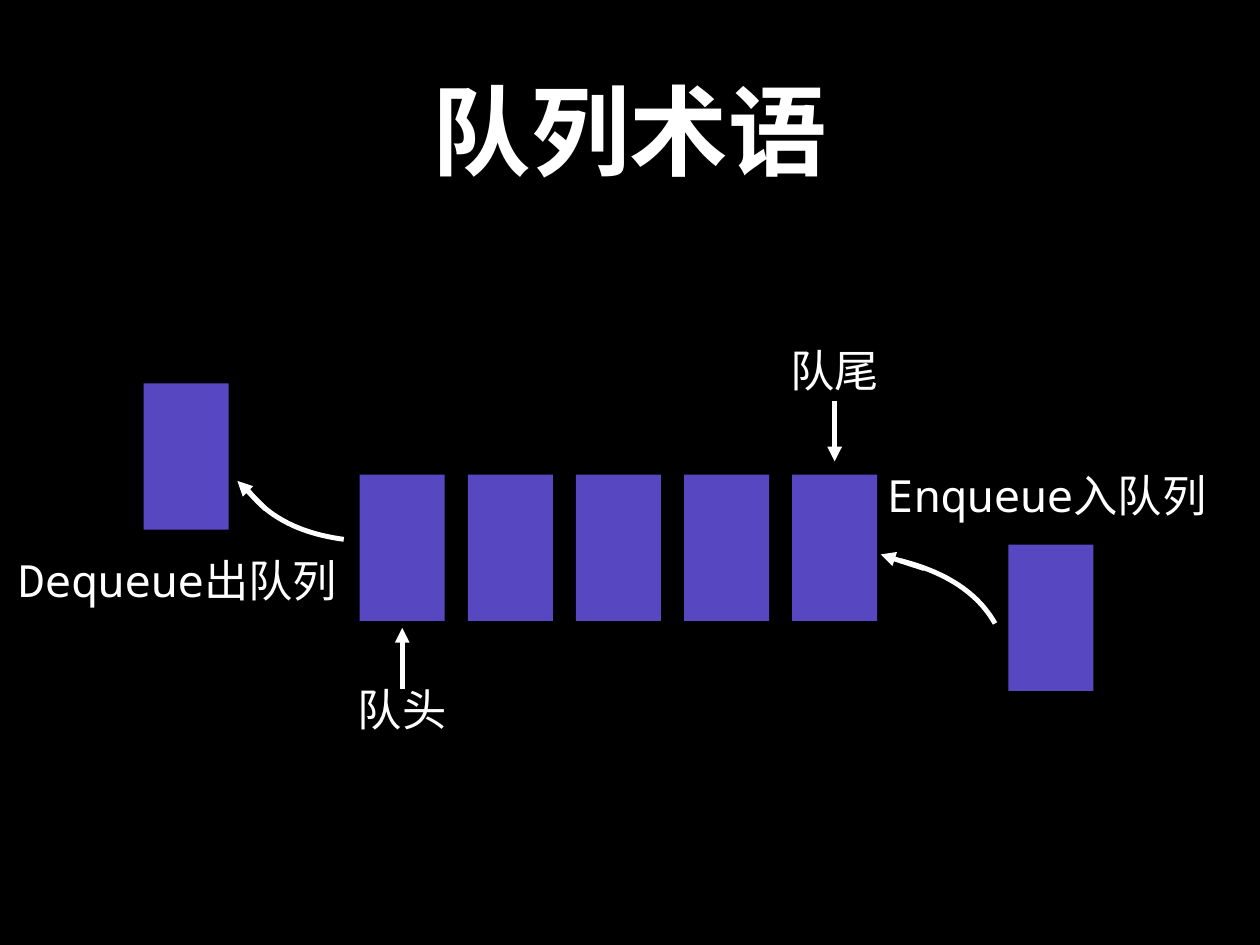
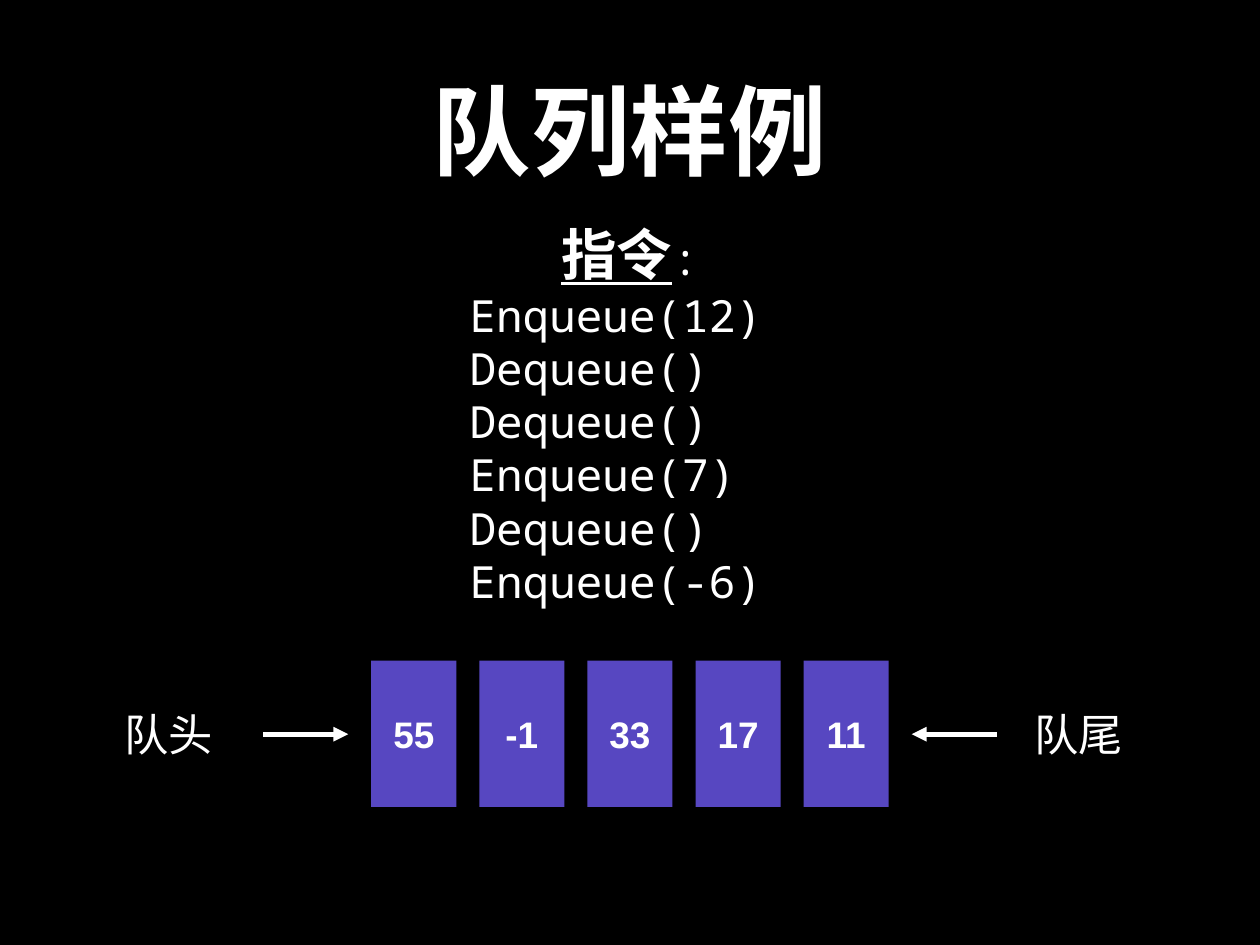
"""Two slides on queue terms and a queue example."""
from lxml.etree import SubElement
from pptx import Presentation
from pptx.dml.color import RGBColor
from pptx.enum.shapes import MSO_CONNECTOR, MSO_SHAPE
from pptx.enum.text import MSO_ANCHOR, MSO_AUTO_SIZE, PP_ALIGN
from pptx.oxml.ns import qn
from pptx.util import Inches, Pt

COLORS = {name: RGBColor.from_string(value) for name, value in {
    "background": "000000", "cell": "5747C1", "text": "FFFFFF"}.items()}
FONT = "Noto Sans Mono"
CELL_WIDTH, CELL_HEIGHT, CELL_STEP = 0.96, 1.65, 1.22
CURVE_STEPS = 24


def set_frame(frame, wrap, auto_size):
    frame.word_wrap = wrap
    frame.auto_size = auto_size
    frame.vertical_anchor = MSO_ANCHOR.MIDDLE
    frame.margin_left = frame.margin_right = Inches(0.06)
    frame.margin_top = frame.margin_bottom = Inches(0.06)


def set_paragraph(paragraph, size, bold=False, align=PP_ALIGN.CENTER, name=FONT):
    paragraph.alignment = align
    font = paragraph.font
    font.name, font.size, font.bold = name, Pt(size), bold
    font.color.rgb = COLORS["text"]


deck = Presentation()
deck.slide_width, deck.slide_height = Inches(14.22), Inches(10.67)
background = deck.slide_master.background.fill
background.solid()
background.fore_color.rgb = COLORS["background"]

pages = []
for heading in ("队列术语", "队列样例"):
    page = deck.slides.add_slide(deck.slide_layouts[5])
    title = page.shapes.title
    title.left, title.top = Inches(1.04), Inches(0.28)
    title.width, title.height = Inches(12.14), Inches(2.36)
    title.text_frame.text = heading
    set_frame(title.text_frame, True, MSO_AUTO_SIZE.NONE)
    set_paragraph(title.text_frame.paragraphs[0], 80, True)
    pages.append(page)
terms, example = pages

cells = [(terms, 4.06 + CELL_STEP * index, 5.36, "") for index in range(5)]
cells += [(terms, 1.62, 4.33, ""), (terms, 11.38, 6.15, "")]
cells += [(example, 4.19 + CELL_STEP * index, 7.46, value)
          for index, value in enumerate(("55", "-1", "33", "17", "11"))]
for page, left, top, value in cells:
    cell = page.shapes.add_shape(MSO_SHAPE.RECTANGLE, Inches(left), Inches(top),
                                 Inches(CELL_WIDTH), Inches(CELL_HEIGHT))
    cell.shadow.inherit = False
    cell.fill.solid()
    cell.fill.fore_color.rgb = COLORS["cell"]
    cell.line.fill.background()
    if value:
        cell.text_frame.text = value
        set_frame(cell.text_frame, True, MSO_AUTO_SIZE.NONE)
        set_paragraph(cell.text_frame.paragraphs[0], 30, True, name="Arial")

curves = [
    ((3.88, 6.09), (3.36, 6.02), (3, 5.82), (2.78, 5.51)),
    ((10.16, 6.33), (10.68, 6.46), (11.04, 6.7), (11.23, 7.04)),
]
for controls in curves:
    points = []
    for step in range(CURVE_STEPS + 1):
        t = step / CURVE_STEPS
        weights = ((1 - t) ** 3, 3 * t * (1 - t) ** 2, 3 * t ** 2 * (1 - t), t ** 3)
        points.append(tuple(
            Inches(sum(weight * control[axis] for weight, control in zip(weights, controls)))
            for axis in (0, 1)))
    builder = terms.shapes.build_freeform(*points[0])
    builder.add_line_segments(points[1:], close=False)
    curve = builder.convert_to_shape()
    curve.shadow.inherit = False
    curve.fill.background()
    curve.line.color.rgb = COLORS["text"]
    curve.line.width = Pt(4)

arrows = [
    (terms, 4.54, 7.78, 4.54, 7.09),
    (terms, 9.42, 4.53, 9.42, 5.21),
    (terms, 3, 5.75, 2.68, 5.43),
    (terms, 10.43, 6.42, 9.94, 6.26),
    (example, 2.97, 8.29, 3.93, 8.29),
    (example, 11.25, 8.29, 10.29, 8.29),
]
for page, *ends in arrows:
    arrow = page.shapes.add_connector(MSO_CONNECTOR.STRAIGHT, *map(Inches, ends))
    arrow.line.color.rgb = COLORS["text"]
    arrow.line.width = Pt(4)
    SubElement(arrow.line._get_or_add_ln(), qn("a:tailEnd"), type="triangle")
    SubElement(arrow._element.spPr, qn("a:effectLst"))

commands = ("Enqueue(12)", "Dequeue()", "Dequeue()", "Enqueue(7)", "Dequeue()", "Enqueue(-6)")
labels = [
    (terms, 3.98, 7.64, 1.12, 0.72, ("队头",), PP_ALIGN.CENTER),
    (terms, 8.86, 3.81, 1.12, 0.72, ("队尾",), PP_ALIGN.CENTER),
    (terms, 0.13, 6.19, 3.75, 0.72, ("Dequeue出队列",), PP_ALIGN.CENTER),
    (terms, 9.94, 5.23, 3.75, 0.72, ("Enqueue入队列",), PP_ALIGN.CENTER),
    (example, 1.34, 7.93, 1.12, 0.72, ("队头",), PP_ALIGN.CENTER),
    (example, 11.61, 7.93, 1.12, 0.72, ("队尾",), PP_ALIGN.CENTER),
    (example, 5.24, 3.29, 3.74, 3.53, commands, PP_ALIGN.LEFT),
]
for page, left, top, width, height, lines, align in labels:
    box = page.shapes.add_textbox(Inches(left), Inches(top), Inches(width), Inches(height))
    box.text_frame.text = "\n".join(lines)
    set_frame(box.text_frame, False, MSO_AUTO_SIZE.SHAPE_TO_FIT_TEXT)
    for paragraph in box.text_frame.paragraphs:
        set_paragraph(paragraph, 36, align=align)

caption = example.shapes.add_textbox(Inches(0.36), Inches(2.42), Inches(13.5), Inches(0.87))
set_frame(caption.text_frame, True, MSO_AUTO_SIZE.SHAPE_TO_FIT_TEXT)
paragraph = caption.text_frame.paragraphs[0]
set_paragraph(paragraph, 36)
span = paragraph.add_run()
span.text = "指令"
span.font.size, span.font.bold, span.font.underline = Pt(45), True, True
paragraph.add_run().text = ":"

deck.save("out.pptx")
